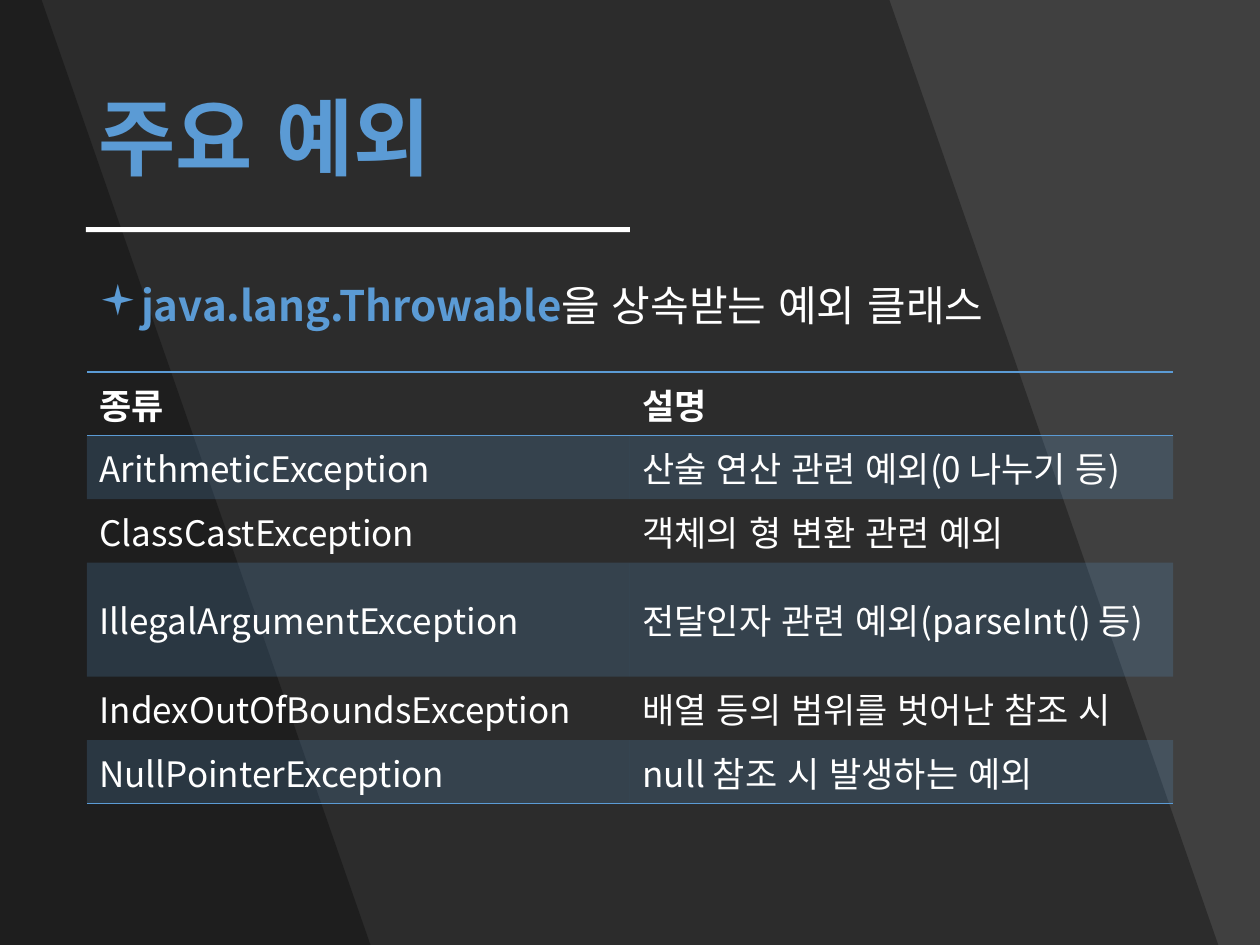
from dataclasses import dataclass
from typing import Any

from lxml.etree import SubElement
from pptx import Presentation
from pptx.dml.color import RGBColor
from pptx.enum.lang import MSO_LANGUAGE_ID
from pptx.enum.shapes import MSO_SHAPE
from pptx.enum.text import MSO_ANCHOR
from pptx.oxml import parse_xml
from pptx.oxml.ns import nsdecls, qn
from pptx.util import Cm, Pt

FONT = "Noto Sans CJK KR"
BLUE, WHITE, BLACK, GRAY = "5B9BD5", "FFFFFF", "000000", "404040"
SLIDE_WIDTH, SLIDE_HEIGHT = 25.4, 19.05
NO_STYLE = "{2D5ABB26-0587-4C30-8999-92F81FD0307C}"
COLUMN_WIDTH = 10.95
ROW_HEIGHT, TWO_LINE_HEIGHT = 1.28, 2.3


@dataclass
class Box:
    left: float
    top: float
    width: float
    height: float

    def lengths(self) -> tuple:
        return Cm(self.left), Cm(self.top), Cm(self.width), Cm(self.height)


@dataclass
class Band:
    """A dark area from the left edge to a slanted right edge."""
    top_right: float
    bottom_right: float


@dataclass
class TextPiece:
    text: str
    size: float
    color: str = WHITE
    bold: bool = False


@dataclass
class TableRow:
    kind: str
    description: str
    height: float = ROW_HEIGHT


BANDS = [Band(17.93, 24.56), Band(0.84, 7.47)]
ROWS = [
    TableRow("종류", "설명"),
    TableRow("ArithmeticException", "산술 연산 관련 예외(0 나누기 등)"),
    TableRow("ClassCastException", "객체의 형 변환 관련 예외"),
    TableRow("IllegalArgumentException", "전달인자 관련 예외(parseInt() 등)", TWO_LINE_HEIGHT),
    TableRow("IndexOutOfBoundsException", "배열 등의 범위를 벗어난 참조 시"),
    TableRow("NullPointerException", "null 참조 시 발생하는 예외"),
]


def set_fill(fill: Any, color: str, opacity: int = 100) -> None:
    fill.solid()
    fill.fore_color.rgb = RGBColor.from_string(color)
    if opacity < 100:
        color_element = fill._xPr.find(f".//{qn('a:srgbClr')}")
        SubElement(color_element, qn("a:alpha"), val=str(opacity * 1000))


def add_piece(paragraph: Any, piece: TextPiece) -> None:
    run = paragraph.add_run()
    run.text = piece.text
    formats = {"name": FONT, "size": Pt(piece.size), "bold": piece.bold,
               "language_id": MSO_LANGUAGE_ID.KOREAN}
    for name, value in formats.items():
        setattr(run.font, name, value)
    set_fill(run.font.fill, piece.color)


def add_text(slide: Any, box: Box, pieces: list[TextPiece], anchor: MSO_ANCHOR) -> Any:
    frame = slide.shapes.add_textbox(*box.lengths()).text_frame
    for name, value in {"word_wrap": True, "vertical_anchor": anchor}.items():
        setattr(frame, name, value)
    paragraph = frame.paragraphs[0]
    paragraph.line_spacing = 0.9
    for piece in pieces:
        add_piece(paragraph, piece)
    return paragraph


def add_bullet(paragraph: Any) -> None:
    paragraph.space_before = Pt(10)
    properties = paragraph._p.get_or_add_pPr()
    indent = Cm(0.64)
    properties.set("marL", str(indent))
    properties.set("indent", str(-indent))
    SubElement(properties, qn("a:buFont"), typeface="Wingdings", charset="2")
    SubElement(properties, qn("a:buChar"), char="▪")


def add_band(slide: Any, band: Band) -> None:
    builder = slide.shapes.build_freeform(0, 0)
    corners = [(band.top_right, 0), (band.bottom_right, SLIDE_HEIGHT), (0, SLIDE_HEIGHT)]
    builder.add_line_segments([(Cm(x), Cm(y)) for x, y in corners], close=True)
    shape = builder.convert_to_shape()
    shape.shadow.inherit = False
    set_fill(shape.fill, BLACK, 30)
    shape.line.fill.background()


def add_borders(cell: Any, sides: list[str]) -> None:
    """Draw blue borders; sides are T and B, in that order."""
    properties = cell._tc.get_or_add_tcPr()
    for position, side in enumerate(sides):
        properties.insert(position, parse_xml(
            f'<a:ln{side} {nsdecls("a")} w="{Pt(1)}"><a:solidFill>'
            f'<a:srgbClr val="{BLUE}"/></a:solidFill></a:ln{side}>'))


def add_exception_table(slide: Any) -> None:
    box = Box(1.75, 7.5, 2 * COLUMN_WIDTH, sum(row.height for row in ROWS))
    table = slide.shapes.add_table(len(ROWS), 2, *box.lengths()).table
    table._tbl.tblPr.find(qn("a:tableStyleId")).text = NO_STYLE
    table.horz_banding = False
    borders = {0: ["T", "B"], len(ROWS) - 1: ["B"]}
    for row_index, row in enumerate(ROWS):
        table.rows[row_index].height = Cm(row.height)
        for column_index, text in enumerate((row.kind, row.description)):
            cell = table.cell(row_index, column_index)
            cell.vertical_anchor = MSO_ANCHOR.MIDDLE
            add_piece(cell.text_frame.paragraphs[0],
                      TextPiece(text, 20, bold=row_index == 0))
            if row_index % 2:
                set_fill(cell.fill, BLUE, 20)
            else:
                cell.fill.background()
            add_borders(cell, borders.get(row_index, []))


def main() -> None:
    presentation = Presentation()
    presentation.slide_width = Cm(SLIDE_WIDTH)
    presentation.slide_height = Cm(SLIDE_HEIGHT)
    slide = presentation.slides.add_slide(presentation.slide_layouts[6])
    set_fill(slide.background.fill, GRAY)
    for band in BANDS:
        add_band(slide, band)

    add_text(slide, Box(1.73, 1.02, 21.92, 3.68),
             [TextPiece("주요 예외", 48, BLUE, True)], MSO_ANCHOR.MIDDLE)
    add_bullet(add_text(slide, Box(1.75, 5.63, 21.9, 11.53), [
        TextPiece("java.lang.Throwable", 24, BLUE, True),
        TextPiece("을 상속받는 예외 클래스", 24),
    ], MSO_ANCHOR.TOP))

    underline = slide.shapes.add_shape(
        MSO_SHAPE.RECTANGLE, *Box(1.73, 4.58, 10.97, 0.1).lengths())
    underline.shadow.inherit = False
    set_fill(underline.fill, WHITE)
    underline.line.fill.background()

    add_exception_table(slide)
    presentation.save("out.pptx")


if __name__ == "__main__":
    main()
